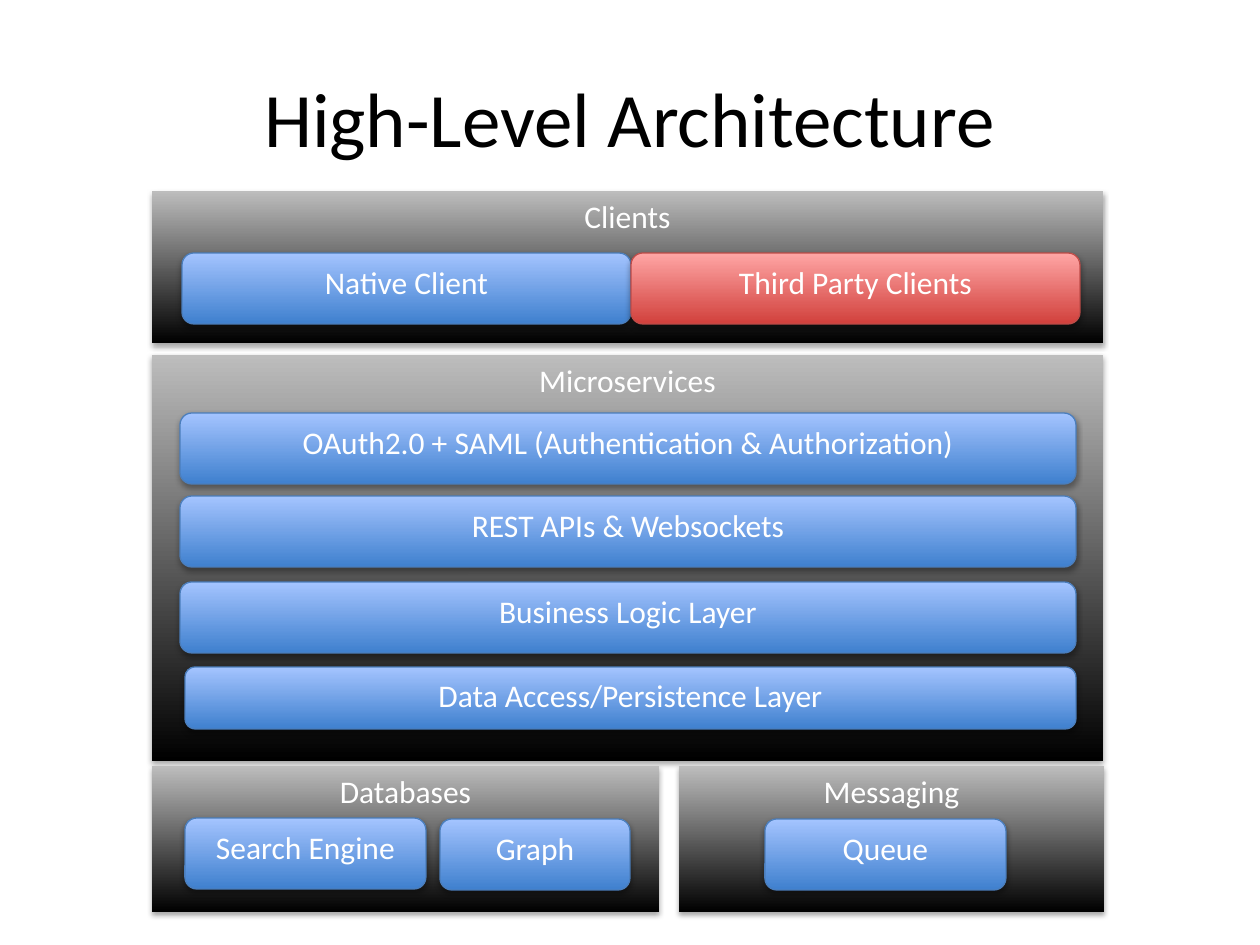
from lxml.etree import fromstring
from pptx import Presentation
from pptx.dml.color import RGBColor
from pptx.enum.shapes import MSO_SHAPE as Kind
from pptx.enum.text import MSO_ANCHOR as Anchor, PP_ALIGN as Align
from pptx.oxml.ns import nsdecls
from pptx.util import Emu, Pt

# Colour sets: gradient bottom, gradient top, outline
THEME = {
    "font": "Calibri", "title": 44, "body": 18,
    "ink": "000000", "light": "FFFFFF",
    "panel": ("000000", "BDBDBD", None),
    "blue": ("3F80CE", "A4C4FF", "4B7EBC"),
    "red": ("D1403C", "FFA6A5", "BF4C48"),
}
SHADOW = (
    f'<a:outerShdw {nsdecls("a")} blurRad="40000" dist="23000" dir="5400000" '
    'rotWithShape="0"><a:srgbClr val="000000"><a:alpha val="35000"/>'
    '</a:srgbClr></a:outerShdw>'
)
SCALE = 914400 / 126


def write(shape, text, size, color, anchor):
    frame = shape.text_frame
    frame.word_wrap = True
    frame.vertical_anchor = anchor
    frame.text = text
    para = frame.paragraphs[0]
    para.alignment = Align.CENTER
    font = para.runs[0].font
    font.name = THEME["font"]
    font.size = Pt(THEME[size])
    font.color.rgb = RGBColor.from_string(THEME[color])


def place(*box):
    """Turn px lengths into EMU."""
    return [Emu(round(n * SCALE)) for n in box]


deck = Presentation()
deck.slide_width, deck.slide_height = place(1260, 945)
slide = deck.slides.add_slide(deck.slide_layouts[6])
shapes = slide.shapes

title = shapes.add_textbox(*place(63, 38, 1134, 157))
write(title, "High-Level Architecture", "title", "ink", Anchor.MIDDLE)

ROW = 71
blocks = [
    ("Clients", "panel", 152, 191, 951, 152),
    ("Microservices", "panel", 152, 355, 951, 406),
    ("Databases", "panel", 152, 766, 507, 146),
    ("Messaging", "panel", 679, 766, 425, 146),
    ("Data Access/Persistence Layer", "blue", 185, 667, 891, 62),
    ("Business Logic Layer", "blue", 180, 582, 896, ROW),
    ("REST APIs & Websockets", "blue", 180, 496, 896, ROW),
    ("OAuth2.0 + SAML (Authentication & Authorization)", "blue",
     180, 413, 896, ROW),
    ("Native Client", "blue", 182, 253, 449, ROW),
    ("Third Party Clients", "red", 631, 253, 449, ROW),
    ("Search Engine", "blue", 185, 818, 241, ROW),
    ("Graph", "blue", 440, 819, 190, ROW),
    ("Queue", "blue", 765, 819, 241, ROW),
]

for text, style, *box in blocks:
    kind = Kind.RECTANGLE if style == "panel" else Kind.ROUNDED_RECTANGLE
    shape = shapes.add_shape(kind, *place(*box))
    low, high, edge = THEME[style]

    shape.fill.gradient()
    shape.fill.gradient_angle = 90
    for stop, color, spot in zip(shape.fill.gradient_stops, (low, high), (0, 1)):
        stop.color.rgb = RGBColor.from_string(color)
        stop.position = spot

    if edge:
        shape.line.color.rgb = RGBColor.from_string(edge)
        shape.line.width = Pt(0.75)
    else:
        shape.line.fill.background()

    shape.shadow.inherit = False
    shape.element.spPr.effectLst.append(fromstring(SHADOW)) if hasattr(
        shape.element.spPr, "effectLst") else None
    write(shape, text, "body", "light", Anchor.TOP)

deck.save("out.pptx")
